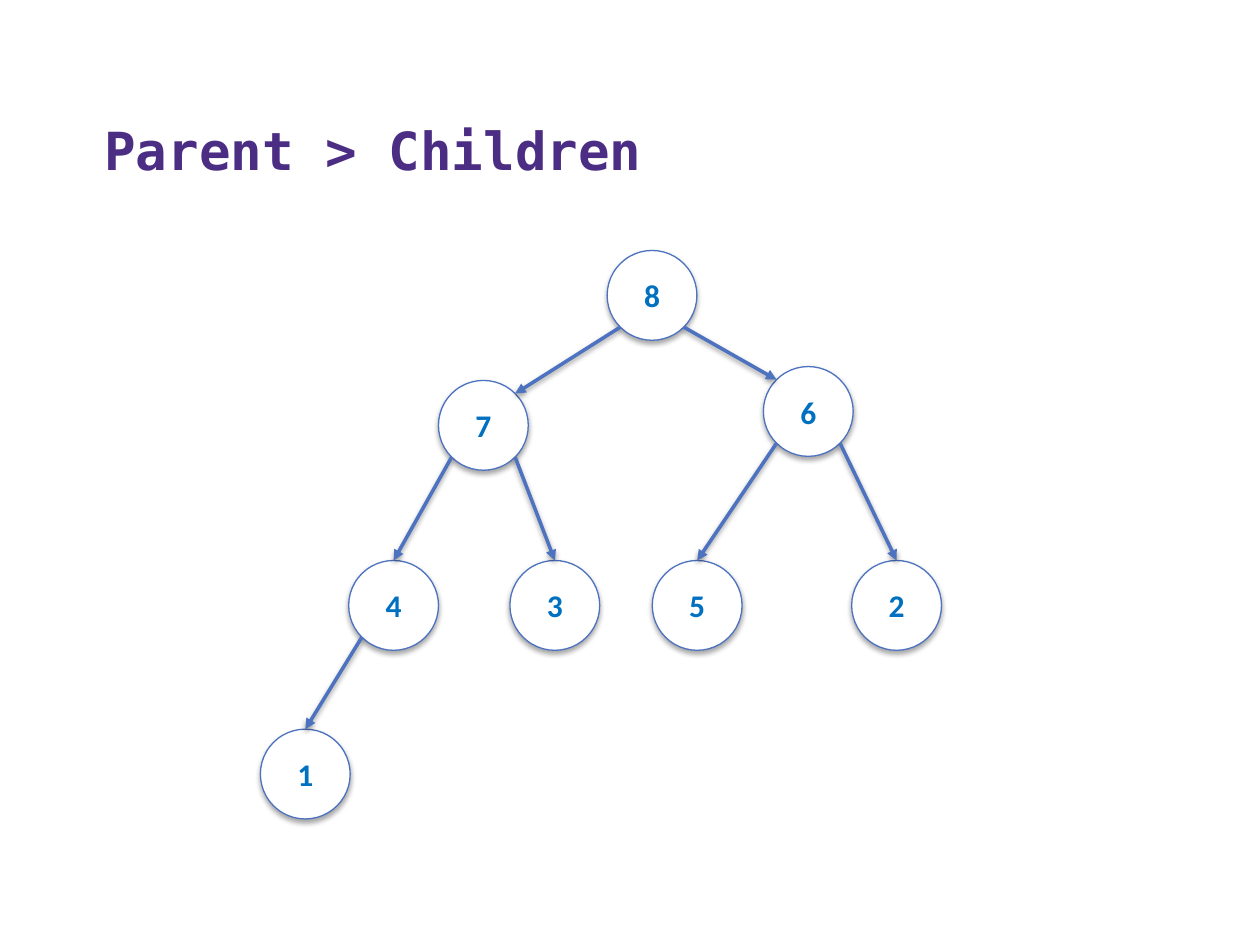
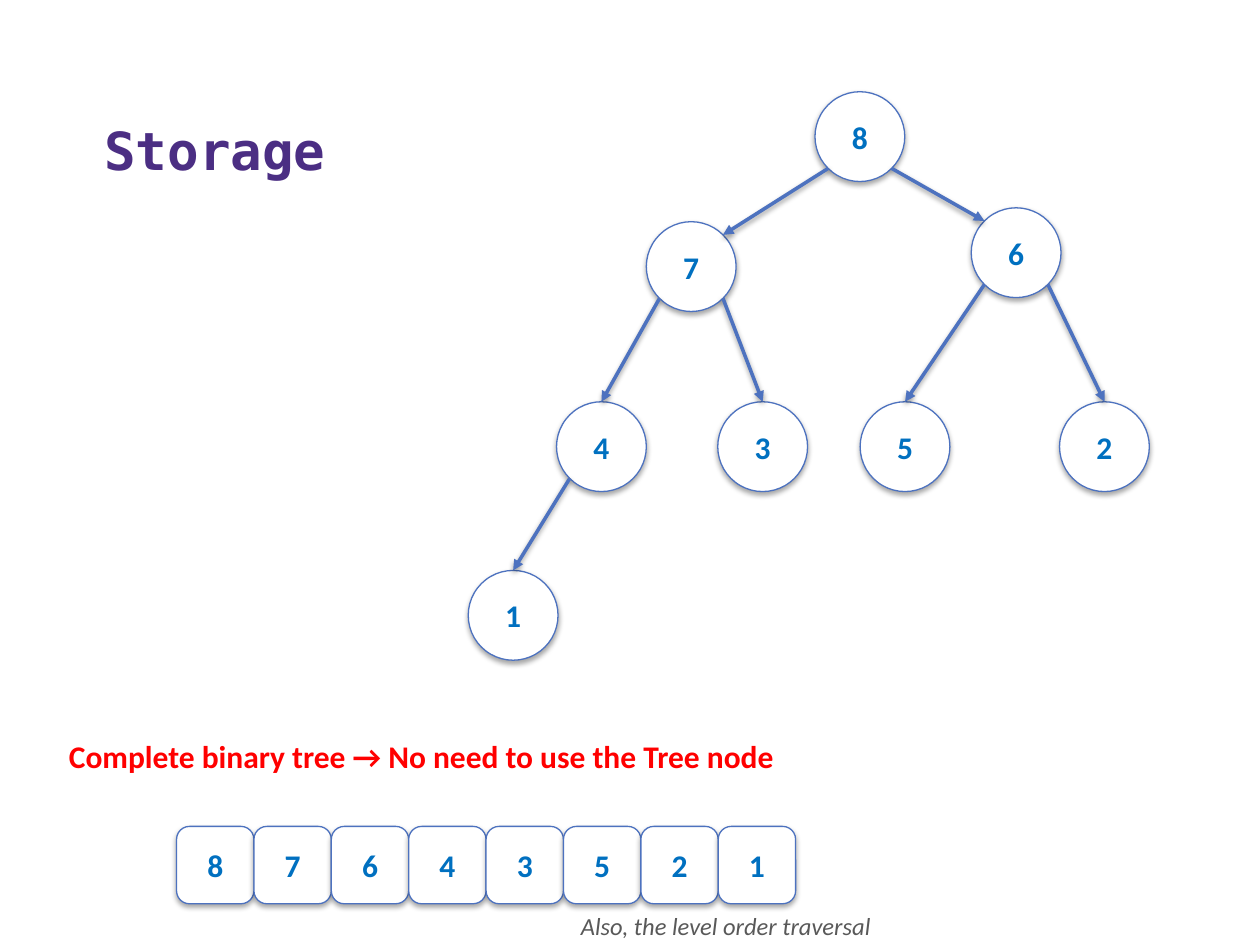
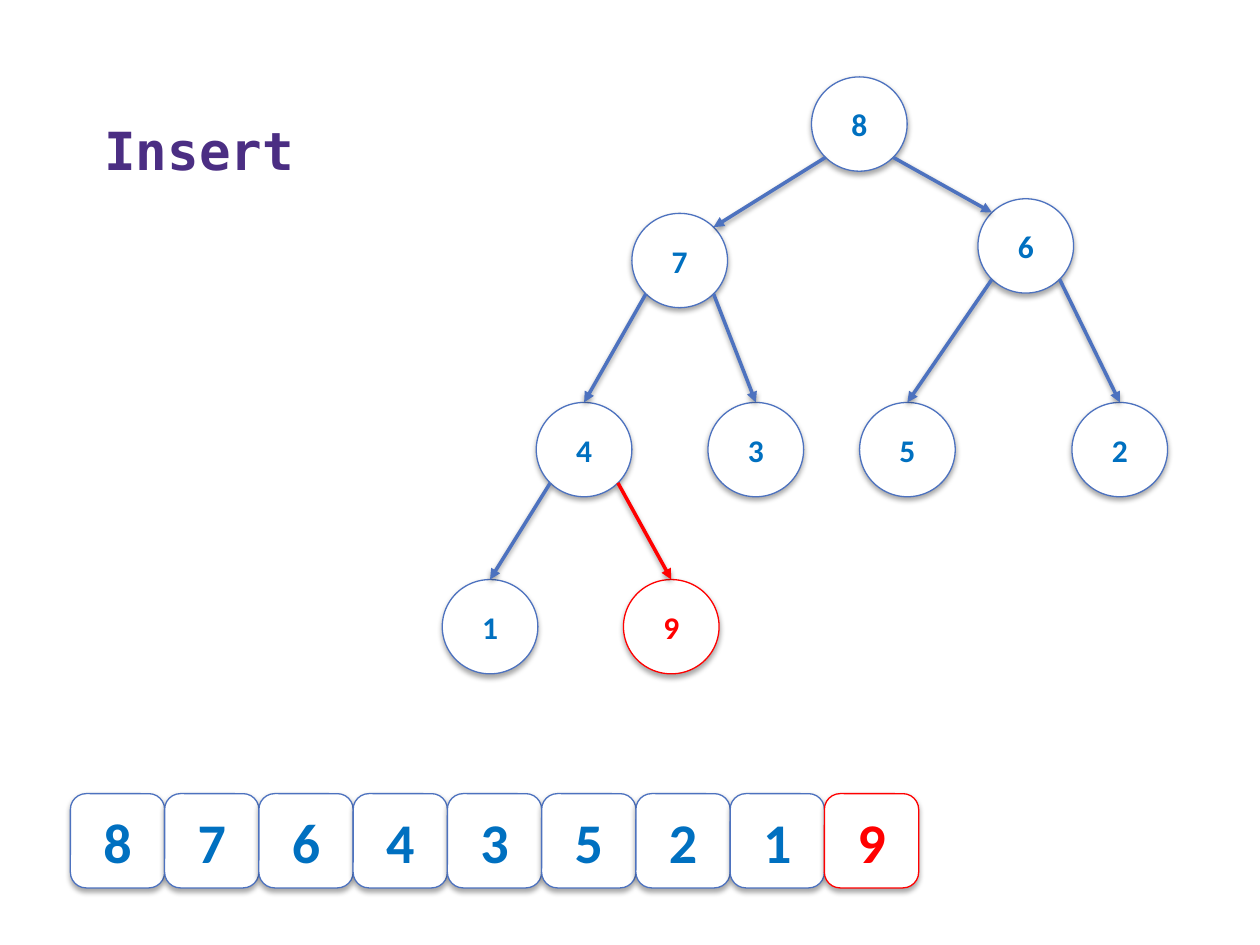
from lxml import etree
from pptx import Presentation
from pptx.dml.color import RGBColor
from pptx.enum.shapes import MSO_CONNECTOR, MSO_SHAPE
from pptx.enum.text import MSO_ANCHOR, MSO_AUTO_SIZE, PP_ALIGN
from pptx.oxml import parse_xml
from pptx.oxml.ns import nsdecls, qn
from pptx.util import Cm, Pt

CIRCLE, CELL = MSO_SHAPE.OVAL, MSO_SHAPE.ROUNDED_RECTANGLE
STRAIGHT = MSO_CONNECTOR.STRAIGHT
LEFT, CENTER = PP_ALIGN.LEFT, PP_ALIGN.CENTER
MIDDLE, BOTTOM = MSO_ANCHOR.MIDDLE, MSO_ANCHOR.BOTTOM
NO_FIT, GROW = MSO_AUTO_SIZE.NONE, MSO_AUTO_SIZE.SHAPE_TO_FIT_TEXT

PURPLE, BLUE, EDGE = "4B2E83", "0070C0", "4D72BF"
RED, GRAY, WHITE = "FF0000", "595959", "FFFFFF"
TITLE_BOX = (1.85, 1.04, 22.73, 2.74)
TITLE_FONT = dict(name="DejaVu Sans Mono", size=Pt(30), bold=True)
NODE_SIZE = 1.81
DIAGONAL = 0.5 ** 0.5

# Each key: parent, side of the parent, and offset from the root in cm
HEAP = {
    8: (None, 0, 0, 0),
    7: (8, -1, -3.4, 2.62),
    6: (8, 1, 3.15, 2.34),
    4: (7, -1, -5.21, 6.25),
    3: (7, 1, -1.96, 6.25),
    5: (6, -1, 0.91, 6.25),
    2: (6, 1, 4.93, 6.25),
    1: (4, -1, -6.99, 9.65),
}
ADDED_KEY = 9
HEAP_AFTER_INSERT = HEAP | {ADDED_KEY: (4, 1, -3.56, 9.65)}

SLIDES = [
    dict(title="Parent > Children",
         tree=dict(heap=HEAP, root=(12.24, 5.05), scale=(1, 1))),
    dict(title="Storage",
         tree=dict(heap=HEAP, root=(16.43, 1.85), scale=(1, 1)),
         array=dict(heap=HEAP, left=3.56, top=16.66, size=1.56, points=18),
         labels=[
             ("Complete binary tree → No need to use the Tree node",
              (1.14, 14.73, 14.88, 1.02), RED, dict(size=Pt(18), bold=True)),
             ("Also, the level order traversal",
              (11.46, 18.24, 6.43, 0.86), GRAY, dict(size=Pt(14), italic=True)),
         ]),
    dict(title="Insert",
         tree=dict(heap=HEAP_AFTER_INSERT, root=(16.36, 1.55), scale=(1.065, 1.05)),
         array=dict(heap=HEAP_AFTER_INSERT, left=1.42, top=16, size=1.9, points=32)),
]


def rgb(color):
    return RGBColor.from_string(color)


def set_text(frame, text, color, align, **fonts):
    para = frame.paragraphs[0]
    para.alignment = align
    span = para.add_run()
    span.text = text
    for name, value in ({"name": "Calibri"} | fonts).items():
        setattr(span.font, name, value)
    span.font.color.rgb = rgb(color)


def add_shadow(shape, distance, opacity):
    """Drop a soft black shadow straight down; distance is in points."""
    shape._element.spPr.append(parse_xml(
        f'<a:effectLst {nsdecls("a")}><a:outerShdw blurRad="{Pt(3.1)}" '
        f'dist="{Pt(distance)}" dir="5400000" rotWithShape="0">'
        f'<a:srgbClr val="000000"><a:alpha val="{opacity * 1000}"/></a:srgbClr>'
        '</a:outerShdw></a:effectLst>'))


def add_key(group, kind, key, place, points=18):
    shape = group.shapes.add_shape(kind, *map(Cm, place))
    shape.fill.solid()
    shape.fill.fore_color.rgb = rgb(WHITE)
    shape.line.color.rgb = rgb(RED if key == ADDED_KEY else EDGE)
    shape.line.width = Pt(0.75)
    add_shadow(shape, 1.8, 35)
    shape.text_frame.vertical_anchor = MIDDLE
    set_text(shape.text_frame, str(key), RED if key == ADDED_KEY else BLUE,
             CENTER, size=Pt(points), bold=True)


def add_arrow(group, start, end, color):
    arrow = group.shapes.add_connector(STRAIGHT, *map(Cm, start + end))
    arrow.line.color.rgb = rgb(color)
    arrow.line.width = Pt(2)
    etree.SubElement(arrow.line._get_or_add_ln(), qn("a:tailEnd"), type="triangle")
    add_shadow(arrow, 1.6, 38)


def add_tree(page, heap, root, scale):
    group = page.shapes.add_group_shape()
    width, height = (NODE_SIZE * factor for factor in scale)
    centers = {key: (root[0] + dx * scale[0] + width / 2,
                     root[1] + dy * scale[1] + height / 2)
               for key, (_, _, dx, dy) in heap.items()}

    def rim(key, across, down):
        x, y = centers[key]
        return x + across * width / 2, y + down * height / 2

    for key, (parent, side, _, _) in heap.items():
        x, y = rim(key, -1, -1)
        add_key(group, CIRCLE, key, (x, y, width, height))
        if parent is None:
            continue
        is_under_root = heap[parent][0] is None
        end = rim(key, -side * DIAGONAL, -DIAGONAL) if is_under_root else rim(key, 0, -1)
        add_arrow(group, rim(parent, side * DIAGONAL, DIAGONAL), end,
                  RED if key == ADDED_KEY else EDGE)


def add_array(page, heap, left, top, size, points):
    group = page.shapes.add_group_shape()
    for index, key in enumerate(heap):
        add_key(group, CELL, key, (left + index * size, top, size, size), points)


def add_label(page, text, place, color, fonts):
    box = page.shapes.add_textbox(*map(Cm, place))
    box.text_frame.word_wrap = False
    box.text_frame.auto_size = GROW
    set_text(box.text_frame, text, color, LEFT, **fonts)


def add_title(page, text):
    title = page.shapes.title
    title.left, title.top, title.width, title.height = map(Cm, TITLE_BOX)
    title.text_frame.auto_size = NO_FIT
    title.text_frame.vertical_anchor = BOTTOM
    set_text(title.text_frame, text, PURPLE, LEFT, **TITLE_FONT)


def main():
    deck = Presentation()
    deck.slide_width, deck.slide_height = Cm(25.4), Cm(19.05)
    title_only = deck.slide_layouts.get_by_name("Title Only")
    for content in SLIDES:
        page = deck.slides.add_slide(title_only)
        add_title(page, content["title"])
        add_tree(page, **content["tree"])
        if "array" in content:
            add_array(page, **content["array"])
        for label in content.get("labels", []):
            add_label(page, *label)
    deck.save("out.pptx")


if __name__ == "__main__":
    main()
